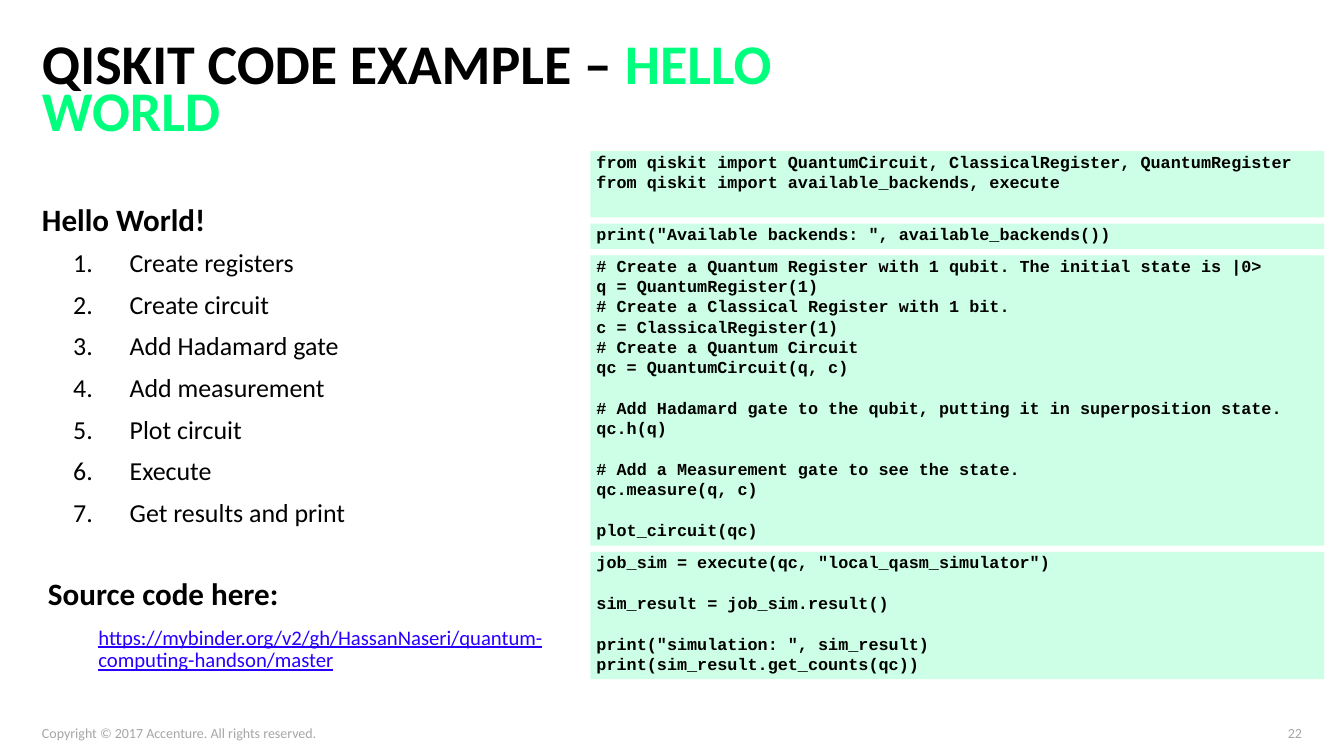
from lxml.etree import SubElement
from pptx import Presentation
from pptx.dml.color import RGBColor as Rgb
from pptx.enum.shapes import MSO_SHAPE as Shape
from pptx.enum.text import MSO_ANCHOR as Anchor, PP_ALIGN as Align
from pptx.oxml.ns import qn
from pptx.util import Inches, Pt

COLORS = {
    "ink": "000000",
    "accent": "00FF7D",
    "code": "CCFFE5",
    "link": "2800FF",
    "footer": "A6A6A6",
}
WIDTH, HEIGHT = 13.33, 7.5
COLUMN, ROW = WIDTH / 32, HEIGHT / 18
CODE_LEFT, CODE_TOP, CODE_COLUMNS = 14.06, 3.6, 17.47
CODE_GAP, LINE_ROWS, PAD_ROWS = 0.15, 0.485, 0.12
LINE_POINTS = 14.5

STEPS = [
    "Create registers",
    "Create circuit",
    "Add Hadamard gate",
    "Add measurement",
    "Plot circuit",
    "Execute",
    "Get results and print",
]
LINK = "https://mybinder.org/v2/gh/HassanNaseri/quantum-computing-handson/master"
CODE_BLOCKS = [
    """from qiskit import QuantumCircuit, ClassicalRegister, QuantumRegister
from qiskit import available_backends, execute
""",
    'print("Available backends: ", available_backends())',
    """# Create a Quantum Register with 1 qubit. The initial state is |0>
q = QuantumRegister(1)
# Create a Classical Register with 1 bit.
c = ClassicalRegister(1)
# Create a Quantum Circuit
qc = QuantumCircuit(q, c)

# Add Hadamard gate to the qubit, putting it in superposition state.
qc.h(q)

# Add a Measurement gate to see the state.
qc.measure(q, c)

plot_circuit(qc)""",
    """job_sim = execute(qc, "local_qasm_simulator")

sim_result = job_sim.result()

print("simulation: ", sim_result)
print(sim_result.get_counts(qc))""",
]


def color(name):
    return Rgb.from_string(COLORS[name])


def place(column, row, columns, rows):
    return [Inches(size) for size in
            (column * COLUMN, row * ROW, columns * COLUMN, rows * ROW)]


def set_frame(box, top=0, bottom=0, anchor=Anchor.TOP):
    frame = box.text_frame
    frame.word_wrap = True
    frame.vertical_anchor = anchor
    frame.margin_left = frame.margin_right = 0
    frame.margin_top, frame.margin_bottom = Inches(top), Inches(bottom)
    return frame


def add_text_box(page, area, **frame_options):
    return set_frame(page.shapes.add_textbox(*place(*area)), **frame_options)


def add_para(frame, text="", size=12, ink="ink", face="Calibri", bold=False,
             spacing=None, before=0, after=0, margin=0, hanging=0,
             numbered=False, align=Align.LEFT):
    first = frame.paragraphs[0]
    para = frame.add_paragraph() if first.runs else first
    if text:
        para.add_run().text = text
    para.alignment = align
    properties = para._p.get_or_add_pPr()
    properties.set("marL", str(Inches(margin)))
    properties.set("indent", str(Inches(-hanging)))
    if numbered:
        SubElement(properties, qn("a:buAutoNum"), type="arabicPeriod")
    if spacing:
        para.line_spacing = spacing
    if before:
        para.space_before = Pt(before)
    para.space_after = Pt(after)
    font = para.font
    font.name, font.size, font.bold = face, Pt(size), bold
    font.color.rgb = color(ink)
    return para


def add_title(page):
    frame = add_text_box(page, (1, 1, 18.86, 2.6), top=0.05)
    para = add_para(frame, "QISKIT CODE EXAMPLE – ", 40, bold=True, spacing=0.7)
    span = para.add_run()
    span.text = "HELLO WORLD"
    span.font.color.rgb = color("accent")


def add_steps(page):
    frame = add_text_box(page, (1, 4.8, 12.5, 12.3), top=0.1, bottom=0.05)
    heading = dict(size=22.2, bold=True, spacing=0.65, after=12)
    add_para(frame, "Hello World!", **heading)
    for step in STEPS:
        add_para(frame, step, 18.5, spacing=0.8, after=12,
                 margin=0.87, hanging=0.56, numbered=True)
    add_para(frame, "Source code here:", before=30, margin=0.06, **heading)
    link = add_para(frame, LINK, 14.8, "link", spacing=0.9, margin=0.56)
    link.font.underline = True


def add_code_block(page, code, row):
    lines = code.split("\n")
    rows = len(lines) * LINE_ROWS + PAD_ROWS
    box = page.shapes.add_shape(
        Shape.RECTANGLE, *place(CODE_LEFT, row, CODE_COLUMNS, rows))
    box.shadow.inherit = False
    box.fill.solid()
    box.fill.fore_color.rgb = color("code")
    box.line.fill.background()
    frame = set_frame(box, bottom=0.05)
    gap = 0
    for line in lines:
        if line:
            add_para(frame, line, face="Courier New", bold=True, margin=0.06,
                     spacing=Pt(LINE_POINTS), before=gap)
        gap = 0 if line else LINE_POINTS
    return row + rows + CODE_GAP


def add_footer(page, text, column, columns, align):
    frame = add_text_box(page, (column, 17.1, columns, 0.56), anchor=Anchor.BOTTOM)
    add_para(frame, text, 10, "footer", align=align)


def main():
    deck = Presentation()
    deck.slide_width, deck.slide_height = Inches(WIDTH), Inches(HEIGHT)
    page = deck.slides.add_slide(deck.slide_layouts[6])
    add_title(page)
    add_steps(page)
    row = CODE_TOP
    for code in CODE_BLOCKS:
        row = add_code_block(page, code, row)
    add_footer(page, "Copyright © 2017 Accenture. All rights reserved.",
               1, 15, Align.LEFT)
    add_footer(page, "22", 30.2, 0.8, Align.RIGHT)
    deck.save("out.pptx")


if __name__ == "__main__":
    main()
